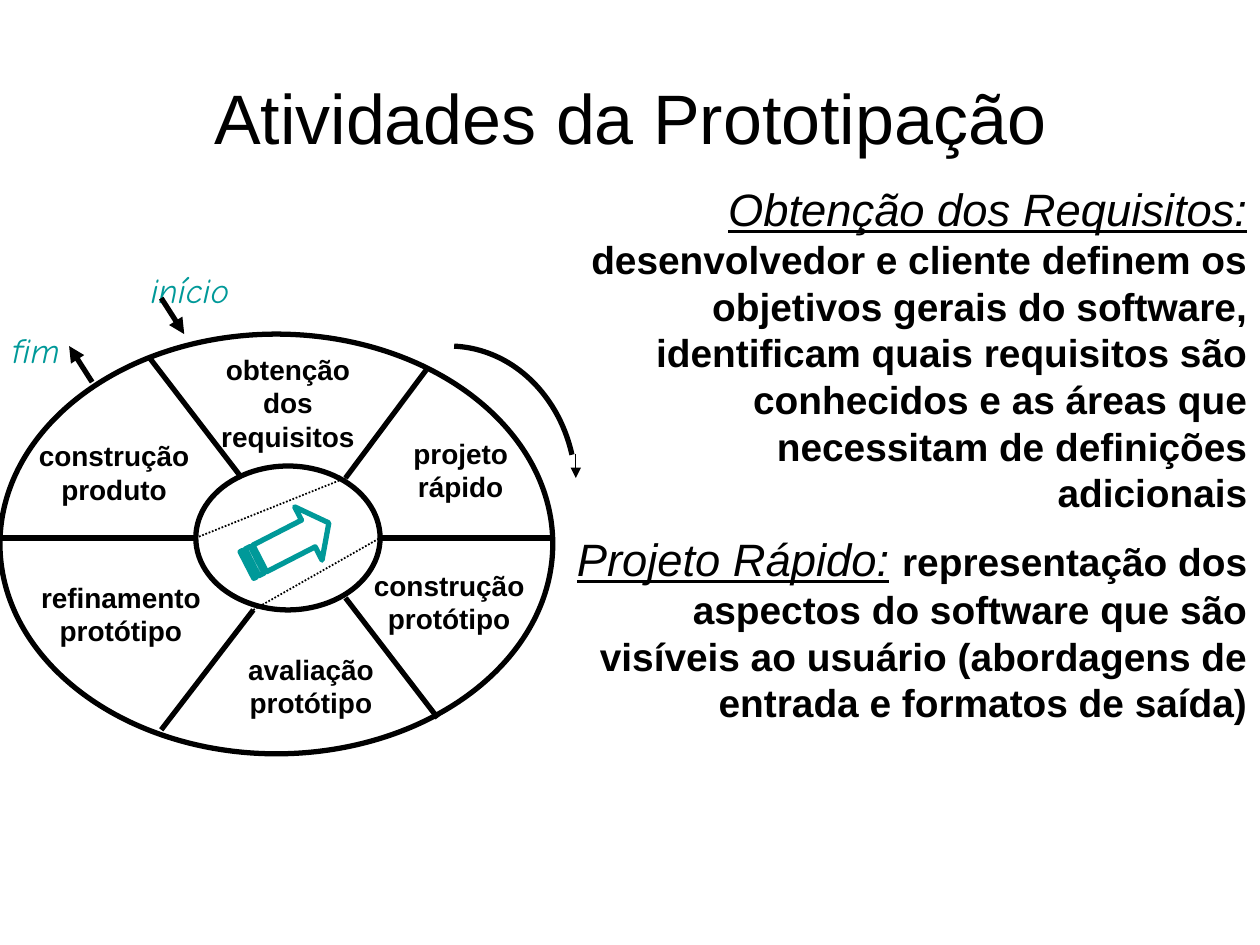
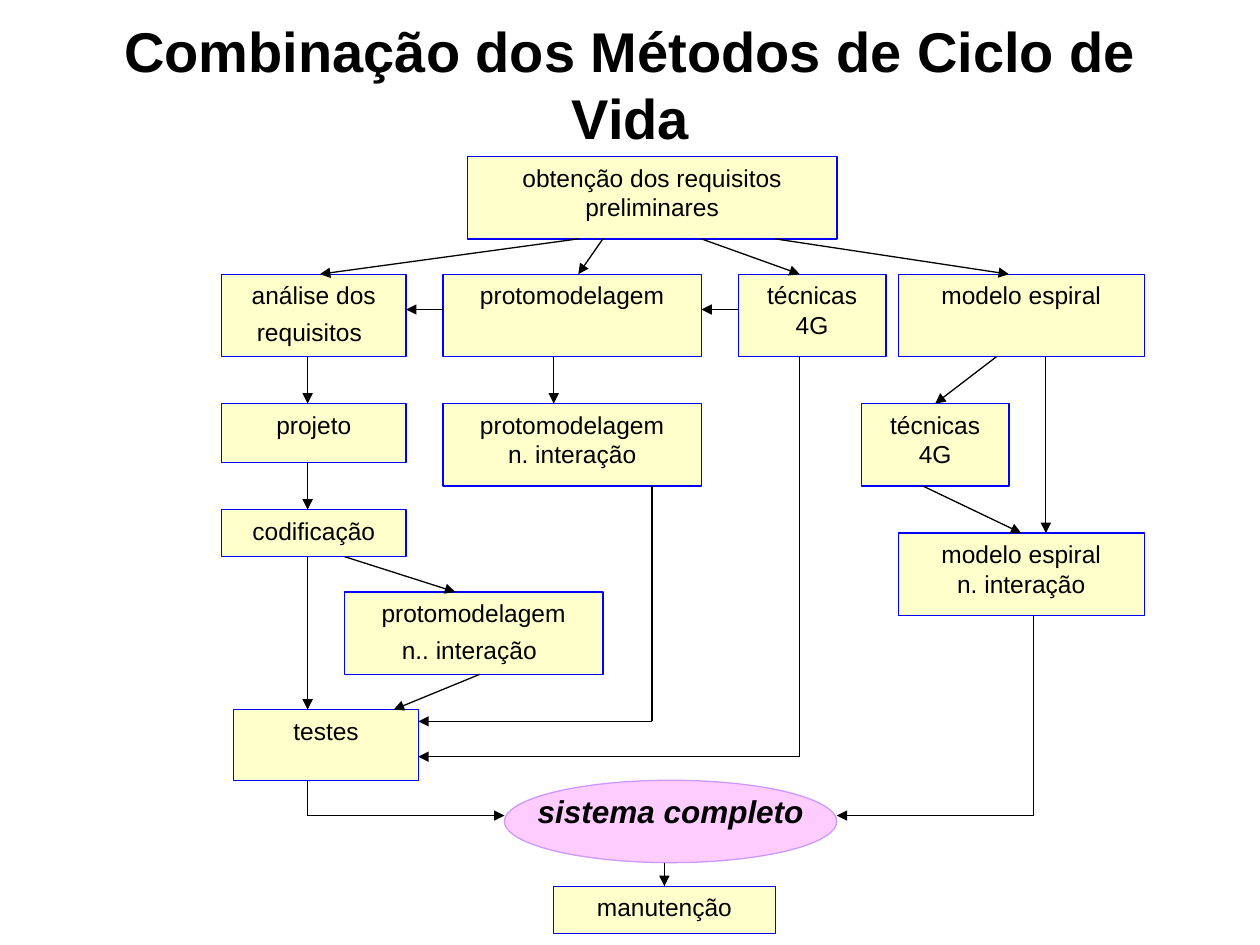
from dataclasses import dataclass
from typing import NamedTuple

from lxml.etree import SubElement
from pptx import Presentation
from pptx.dml.color import RGBColor
from pptx.enum.dml import MSO_LINE
from pptx.enum.shapes import MSO_CONNECTOR, MSO_SHAPE
from pptx.enum.text import MSO_ANCHOR, PP_ALIGN
from pptx.oxml.ns import qn
from pptx.shapes.autoshape import Shape
from pptx.slide import Slide
from pptx.util import Inches, Pt

BLACK = RGBColor(0x00, 0x00, 0x00)
TEAL = RGBColor(0x00, 0x99, 0x99)
BLUE = RGBColor(0x00, 0x00, 0xFF)
CREAM = RGBColor(0xFF, 0xFF, 0xCC)
PINK = RGBColor(0xFF, 0xCC, 0xFF)
LILAC = RGBColor(0xCC, 0x99, 0xFF)

WIDE, HIGH = Inches(10), Inches(7.5)
THIN, THICK = 0.75, 3


@dataclass(frozen=True)
class Grid:
    """Columns and rows across the slide; row 0 starts `top` rows down."""
    cols: float
    rows: float
    top: float

    def x(self, col: float) -> int:
        return round(WIDE * col / self.cols)

    def y(self, row: float) -> int:
        return round(HIGH * (row + self.top) / self.rows)

    def rect(self, area: "Area") -> tuple[int, int, int, int]:
        left, top = self.x(area.col), self.y(area.row)
        return (left, top, self.x(area.col + area.wide) - left,
                self.y(area.row + area.high) - top)


class Area(NamedTuple):
    col: float
    row: float
    wide: float
    high: float


@dataclass(frozen=True)
class Font:
    size: float
    name: str = "Arial"
    color: RGBColor = BLACK
    bold: bool = False
    slant: bool = False
    under: bool = False


@dataclass(frozen=True)
class Label:
    text: str
    area: Area
    font: Font


@dataclass(frozen=True)
class Box:
    text: str
    area: Area
    weight: float = THIN
    tail: bool = False


@dataclass(frozen=True)
class Link:
    start: tuple[float, float]
    end: tuple[float, float]
    weight: float = THIN
    head: bool = True
    dots: bool = False


WHEEL = Grid(109.4, 78.8, 27.86)
FLOW = Grid(102.4, 80.3, 0.3)

PART = Font(16, bold=True)
MARK = Font(20, "Comic Neue", TEAL, slant=True)
STEP = Font(14)
GAP = Font(18)
TERM = Font(25.9, slant=True, under=True)
BREAK = Font(25.9)
NOTE = Font(22.2, bold=True)

# Slide 1: activity wheel
LABELS = [
    Label("fim", Area(0, -1, 11, 5), MARK),
    Label("início", Area(12, -6, 11, 5), MARK),
    Label("construção produto", Area(0.9, 8.2, 18, 8), PART),
    Label("refinamento protótipo", Area(2, 20, 17, 8), PART),
    Label("avaliação protótipo", Area(19, 26, 16, 8), PART),
    Label("construção protótipo", Area(31, 19, 16, 8), PART),
    Label("projeto rápido", Area(33, 8, 14, 8), PART),
    Label("obtenção dos requisitos", Area(17, 1, 16, 10), PART),
]
RINGS = [Area(0, 0, 48, 35), Area(17, 11, 16, 12)]
SPOKES = [
    Link((13, 2), (21, 12), THICK, head=False),
    Link((37, 3), (30, 12), THICK, head=False),
    Link((33, 17), (48, 17), THICK, head=False),
    Link((30, 22), (38, 32), THICK, head=False),
    Link((22, 23), (14, 33), THICK, head=False),
    Link((17, 17), (0, 17), THICK, head=False),
    Link((17, 17), (30, 12), 1, head=False, dots=True),
    Link((22, 23), (33, 17), 1, head=False, dots=True),
    Link((8, 4), (6, 1), THICK),
    Link((14, -3), (16, 0), THICK),
    Link((50, 10), (50, 12)),
]
# Arrow outline on a lattice 32 wide and 4 high
ARROW = [
    [(24, 0), (24, 1), (5, 1), (5, 3), (24, 3), (24, 4), (32, 2)],
    [(2, 1), (2, 3), (4, 3), (4, 1)],
    [(0, 1), (0, 3), (1, 3), (1, 1)],
]
TERMS = [
    ("Obtenção dos Requisitos:",
     "desenvolvedor e cliente definem os objetivos gerais do software, "
     "identificam quais requisitos são conhecidos e as áreas que "
     "necessitam de definições adicionais"),
    ("Projeto Rápido:",
     "representação dos aspectos do software que são visíveis ao usuário "
     "(abordagens de entrada e formatos de saída)"),
]

# Slide 2: life-cycle flow
BOXES = [
    Box("obtenção dos requisitos preliminares", Area(38, 13, 30, 7), 1),
    Box("modelo espiral", Area(73, 23, 20, 7)),
    Box("técnicas 4G", Area(60, 23, 12, 7)),
    Box("protomodelagem", Area(36, 23, 21, 7)),
    Box("análise dos requisitos", Area(18, 23, 15, 7), tail=True),
    Box("projeto", Area(18, 34, 15, 5)),
    Box("codificação", Area(18, 43, 15, 4)),
    Box("testes", Area(19, 60, 15, 6)),
    Box("manutenção", Area(45, 75, 18, 4)),
    Box("protomodelagem\nn. interação", Area(36, 34, 21, 7)),
    Box("protomodelagem\nn.. interação", Area(28, 50, 21, 7), tail=True),
    Box("técnicas 4G", Area(70, 34, 12, 7)),
    Box("modelo espiral\nn. interação", Area(73, 45, 20, 7)),
]
GOAL = Area(41, 66, 27, 7)
LINKS = [
    Link((54, 73), (54, 75)),
    Link((25, 30), (25, 34)),
    Link((25, 47), (25, 60)),
    Link((25, 39), (25, 43)),
    Link((39, 57), (32, 60)),
    Link((25, 66), (25, 69), head=False),
    Link((25, 69), (41, 69)),
    Link((84, 52), (84, 69), head=False),
    Link((84, 69), (68, 69)),
    Link((81, 30), (76, 34)),
    Link((75, 41), (83, 45)),
    Link((85, 30), (85, 45)),
    Link((60, 26), (57, 26)),
    Link((36, 26), (33, 26)),
    Link((45, 30), (45, 34)),
    Link((65, 30), (65, 64), head=False),
    Link((65, 64), (34, 64)),
    Link((47, 20), (26, 23)),
    Link((49, 20), (47, 23)),
    Link((57, 20), (65, 23)),
    Link((63, 20), (82, 23)),
    Link((28, 47), (37, 50)),
    Link((53, 41), (53, 61), head=False),
    Link((53, 61), (34, 61)),
]


def style(run, font: Font) -> None:
    face = run.font
    face.size, face.name = Pt(font.size), font.name
    face.bold, face.italic, face.underline = font.bold, font.slant, font.under
    face.color.rgb = font.color


def write(shape: Shape, text: str, font: Font, align=PP_ALIGN.CENTER,
          anchor=MSO_ANCHOR.TOP) -> None:
    frame = shape.text_frame
    frame.word_wrap, frame.vertical_anchor = True, anchor
    frame.text = text
    for para in frame.paragraphs:
        para.alignment = align
        for run in para.runs:
            style(run, font)


def label(slide: Slide, grid: Grid, item: Label, align=PP_ALIGN.CENTER,
          anchor=MSO_ANCHOR.TOP) -> None:
    box = slide.shapes.add_textbox(*grid.rect(item.area))
    write(box, item.text, item.font, align, anchor)


def title(slide: Slide, grid: Grid, text: str, area: Area, font: Font) -> None:
    label(slide, grid, Label(text, area, font), anchor=MSO_ANCHOR.MIDDLE)


def paint(shape: Shape, line: RGBColor, weight: float, fill=None) -> None:
    shape.shadow.inherit = False
    if fill is None:
        shape.fill.background()
    else:
        shape.fill.solid()
        shape.fill.fore_color.rgb = fill
    shape.line.color.rgb, shape.line.width = line, Pt(weight)


def figure(slide: Slide, grid: Grid, kind, area: Area, line: RGBColor,
           weight: float, fill=None) -> Shape:
    shape = slide.shapes.add_shape(kind, *grid.rect(area))
    paint(shape, line, weight, fill)
    return shape


def link(slide: Slide, grid: Grid, item: Link, sites: dict) -> None:
    (x1, y1), (x2, y2) = item.start, item.end
    wire = slide.shapes.add_connector(
        MSO_CONNECTOR.STRAIGHT, grid.x(x1), grid.y(y1), grid.x(x2), grid.y(y2))
    if item.start in sites:
        wire.begin_connect(*sites[item.start])
    if item.end in sites:
        wire.end_connect(*sites[item.end])
    wire.line.color.rgb, wire.line.width = BLACK, Pt(item.weight)
    if item.dots:
        wire.line.dash_style = MSO_LINE.ROUND_DOT
    props = wire._element.spPr
    if item.head:
        SubElement(props.find(qn("a:ln")), qn("a:tailEnd"), type="triangle")
    SubElement(props, qn("a:effectLst"))


def middles(area: Area) -> list[tuple[float, float]]:
    """Side middles in connection order: top, left, bottom, right."""
    col, row, wide, high = area
    return [(col + wide / 2, row), (col, row + high / 2),
            (col + wide / 2, row + high), (col + wide, row + high / 2)]


def arrow(slide: Slide, grid: Grid, area: Area) -> None:
    left, top, wide, high = grid.rect(area)
    first, *rest = ARROW
    pen = slide.shapes.build_freeform(*first[0], scale=(wide / 32, high / 4))
    pen.add_line_segments(first[1:])
    for path in rest:
        pen.move_to(*path[0])
        pen.add_line_segments(path[1:])
    shape = pen.convert_to_shape(left, top)
    shape.rotation = 332.8
    paint(shape, TEAL, THICK)


def terms(slide: Slide, grid: Grid, area: Area) -> None:
    frame = slide.shapes.add_textbox(*grid.rect(area)).text_frame
    frame.word_wrap = True
    for at, (term, note) in enumerate(TERMS):
        para = frame.add_paragraph() if at else frame.paragraphs[0]
        para.alignment = PP_ALIGN.RIGHT
        para.space_before, para.space_after = Pt(6), Pt(3)
        props, hang = para._p.get_or_add_pPr(), Inches(0.38)
        props.set("marL", str(hang))
        props.set("indent", str(-hang))
        for text, font in ((term, TERM), (" ", BREAK), (note, NOTE)):
            run = para.add_run()
            run.text = text
            style(run, font)


def wheel(slide: Slide) -> None:
    title(slide, WHEEL, "Atividades da Prototipação",
          Area(5.47, -24.7, 98.46, 13.13), Font(40))
    terms(slide, WHEEL, Area(46, -13.25, 63.4, 49))
    for item in LABELS:
        side = PP_ALIGN.LEFT if item.font is MARK else PP_ALIGN.CENTER
        label(slide, WHEEL, item, side)
    for ring in RINGS:
        figure(slide, WHEEL, MSO_SHAPE.OVAL, ring, BLACK, THICK)
    for item in SPOKES:
        link(slide, WHEEL, item, {})
    arrow(slide, WHEEL, Area(21, 15, 8, 5))
    # Turn mark: arc from 272 to 344 degrees
    turn = figure(slide, WHEEL, MSO_SHAPE.ARC, Area(28, 1, 22, 24), BLACK, THICK)
    for at, angle in enumerate((272, 344)):
        turn.adjustments[at] = angle * 0.6


def flow(slide: Slide) -> None:
    title(slide, FLOW, "Combinação dos Métodos de Ciclo de Vida",
          Area(8.1, 3, 86.3, 7.6), Font(32, bold=True))
    sites = {}
    for box in BOXES:
        shape = figure(slide, FLOW, MSO_SHAPE.RECTANGLE, box.area, BLUE,
                       box.weight, CREAM)
        write(shape, box.text, STEP)
        if box.tail:
            run = shape.text_frame.paragraphs[-1].add_run()
            run.text = " "
            style(run, GAP)
        sites |= {spot: (shape, at) for at, spot in enumerate(middles(box.area))}
    figure(slide, FLOW, MSO_SHAPE.OVAL, GOAL, LILAC, THIN, PINK)
    label(slide, FLOW, Label("sistema completo", Area(42.5, 66.5, 24, 6),
                             Font(18, bold=True, slant=True)))
    for item in LINKS:
        link(slide, FLOW, item, sites)


def main() -> None:
    deck = Presentation()
    deck.slide_width, deck.slide_height = WIDE, HIGH
    for draw in (wheel, flow):
        draw(deck.slides.add_slide(deck.slide_layouts[6]))
    deck.save("out.pptx")


if __name__ == "__main__":
    main()
